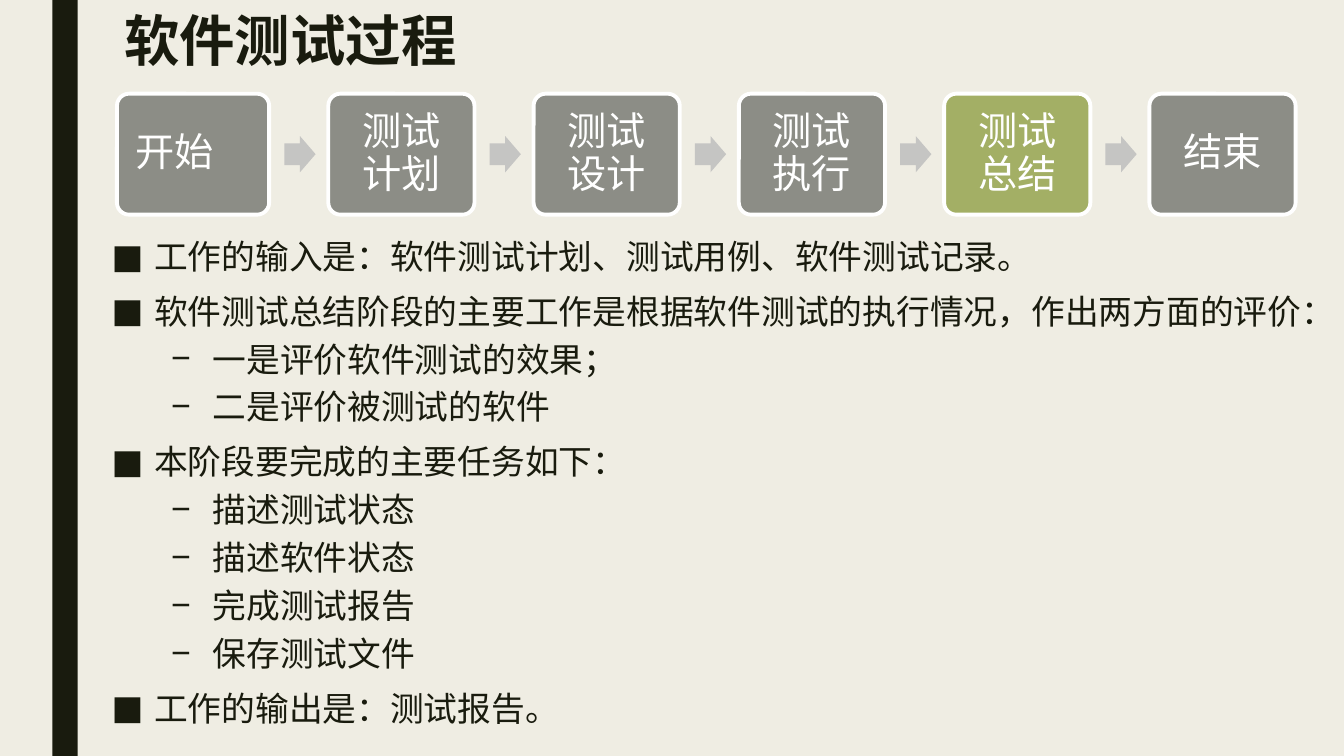
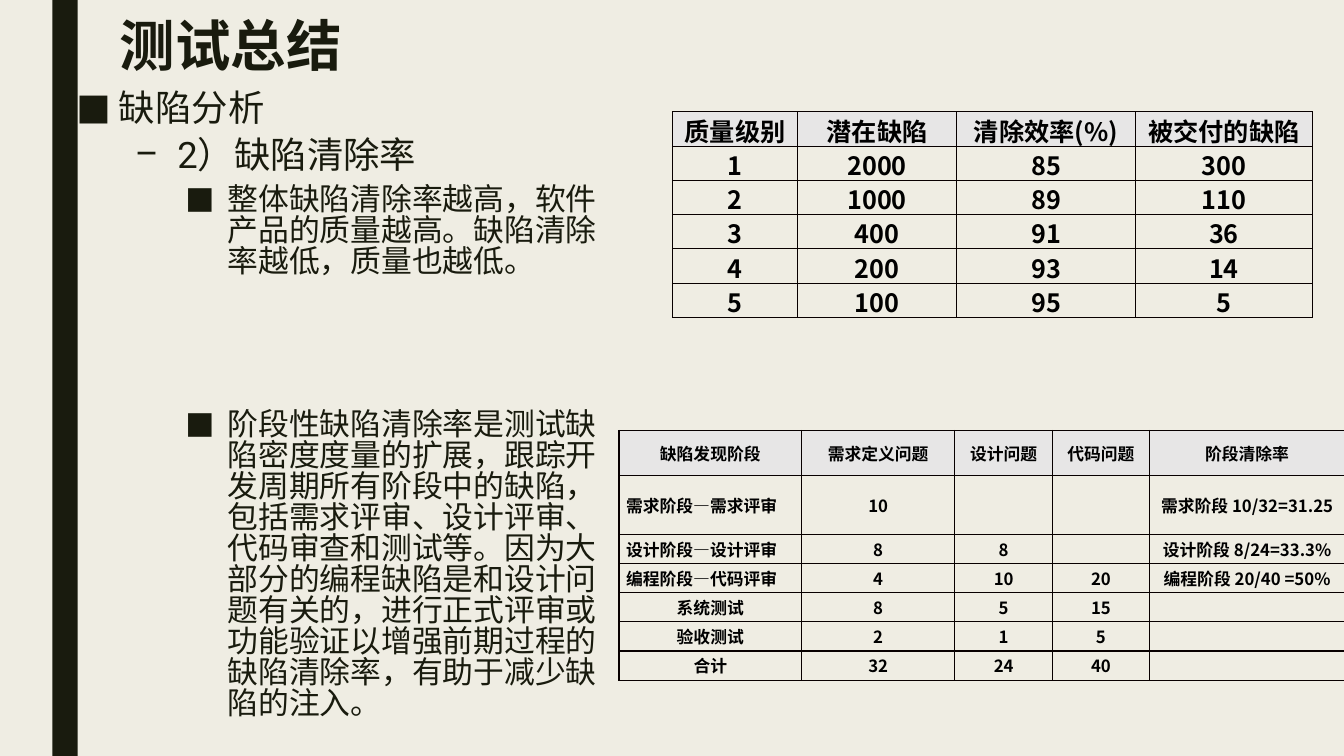
"""Two slides on the software testing process: flow overview and defect removal."""
from dataclasses import dataclass

from lxml import etree
from pptx import Presentation
from pptx.dml.color import RGBColor
from pptx.enum.shapes import MSO_SHAPE
from pptx.enum.text import MSO_ANCHOR, MSO_AUTO_SIZE, PP_ALIGN
from pptx.oxml.ns import qn
from pptx.util import Inches, Pt

RECT, ROUND, ARROW = MSO_SHAPE.RECTANGLE, MSO_SHAPE.ROUNDED_RECTANGLE, MSO_SHAPE.RIGHT_ARROW
LEFT, CENTER = PP_ALIGN.LEFT, PP_ALIGN.CENTER
TOP, MIDDLE = MSO_ANCHOR.TOP, MSO_ANCHOR.MIDDLE


@dataclass(frozen=True)
class Theme:
    """Colours, fonts and type sizes."""
    paper: str = "EFEDE3"
    ink: str = "191B0E"
    step: str = "8C8D86"
    current: str = "A3AF65"
    arrow: str = "C5C5C3"
    white: str = "FFFFFF"
    black: str = "000000"
    header: str = "E7E6E6"
    border: str = "080000"
    font: str = "Roboto"
    table_font: str = "Noto Sans CJK SC"
    title_size: float = 39.6
    step_size: float = 28


T = Theme()
WIDTH, HEIGHT = 13.33, 7.5
BAND = (0.52, 0, 0.25, HEIGHT)
TITLE_SIZE = (10.5, 0.62)
BULLETS = [("■", 0.42, 10), ("–", 1, 5), ("■", 1.5, 5)]
HANG = 0.42

STEPS = ["开始", "测试计划", "测试设计", "测试执行", "测试总结", "结束"]
CURRENT_STEP = "测试总结"
FLOW = dict(left=1.16, right=12.85, top=0.93, height=1.2, first=1.51, width=1.45)

PROCESS = dict(
    title="软件测试过程", title_at=(1.13, 0.12),
    body_at=(1.01, 2.32, 12.03, 5.18), spacing=0.94, sizes=(24.1, 24.1),
    body=[
        (0, "工作的输入是：软件测试计划、测试用例、软件测试记录。"),
        (0, "软件测试总结阶段的主要工作是根据软件测试的执行情况，作出两方面的评价："),
        (1, "一是评价软件测试的效果；"),
        (1, "二是评价被测试的软件"),
        (0, "本阶段要完成的主要任务如下："),
        (1, "描述测试状态"),
        (1, "描述软件状态"),
        (1, "完成测试报告"),
        (1, "保存测试文件"),
        (0, "工作的输出是：测试报告。"),
    ])

SUMMARY = dict(
    title="测试总结", title_at=(1.09, 0.17),
    body_at=(0.66, 0.87, 5.39, 6.46), spacing=0.84, sizes=(26, 26, 22),
    body=[
        (0, "缺陷分析"),
        (1, "2）缺陷清除率"),
        (2, "整体缺陷清除率越高，软件产品的质量越高。缺陷清除率越低，质量也越低。"),
        (2, "阶段性缺陷清除率是测试缺陷密度度量的扩展，跟踪开发周期所有阶段中的缺陷，"
            "包括需求评审、设计评审、代码审查和测试等。因为大部分的编程缺陷是和设计问题有关的，"
            "进行正式评审或功能验证以增强前期过程的缺陷清除率，有助于减少缺陷的注入。", 92),
    ])

QUALITY = dict(
    at=(6.67, 1.11), cols=[1.24, 1.58, 1.77, 1.76], heights=[0.34] * 6, size=18,
    rows=[
        ["质量级别", "潜在缺陷", "清除效率(%)", "被交付的缺陷"],
        ["1", "2000", "85", "300"],
        ["2", "1000", "89", "110"],
        ["3", "400", "91", "36"],
        ["4", "200", "93", "14"],
        ["5", "100", "95", "5"],
    ])

STAGES = dict(
    at=(6.14, 4.27), cols=[1.81, 1.52, 0.97, 0.96, 1.94],
    heights=[0.45, 0.58] + [0.29] * 5, size=12,
    rows=[
        ["缺陷发现阶段", "需求定义问题", "设计问题", "代码问题", "阶段清除率"],
        ["需求阶段—需求评审", "10", "", "", "需求阶段 10/32=31.25"],
        ["设计阶段—设计评审", "8", "8", "", "设计阶段 8/24=33.3%"],
        ["编程阶段—代码评审", "4", "10", "20", "编程阶段 20/40 =50%"],
        ["系统测试", "8", "5", "15", ""],
        ["验收测试", "2", "1", "5", ""],
        ["合计", "32", "24", "40", ""],
    ])


def rgb(color):
    return RGBColor.from_string(color)


def style(p, size, color, font=T.font, bold=False):
    for r in p.runs:
        r.font.size, r.font.bold, r.font.name = Pt(size), bold, font
        r.font.color.rgb = rgb(color)
        etree.SubElement(r.font._element, qn("a:ea")).set("typeface", font)


def add_shape(s, kind, box, fill):
    sp = s.shapes.add_shape(kind, *map(Inches, box))
    sp.shadow.inherit = False
    sp.fill.solid()
    sp.fill.fore_color.rgb = rgb(fill)
    sp.line.fill.background()
    return sp


def add_master_band(prs, s):
    band = add_shape(s, RECT, BAND, T.ink)
    band.element.nvSpPr.cNvPr.set("id", "20")
    prs.slide_master.shapes.element.insert(2, band.element)


def add_bullet(p, level):
    char, indent, before = BULLETS[level]
    p.level, p.space_before, p.space_after = level, Pt(before), Pt(2)
    pPr = p._p.get_or_add_pPr()
    pPr.set("marL", str(Inches(indent)))
    pPr.set("indent", str(-Inches(HANG)))
    etree.SubElement(pPr, qn("a:buFont")).set("typeface", T.font)
    etree.SubElement(pPr, qn("a:buChar")).set("char", char)


def add_slide(prs, content):
    s = prs.slides.add_slide(prs.slide_layouts[5])
    title = s.shapes.title
    title.left, title.top, title.width, title.height = map(Inches, content["title_at"] + TITLE_SIZE)
    tf = title.text_frame
    tf.text, tf.vertical_anchor, tf.auto_size = content["title"], MIDDLE, MSO_AUTO_SIZE.NONE
    p = tf.paragraphs[0]
    p.alignment, p.line_spacing = LEFT, 0.89
    style(p, T.title_size, T.ink, bold=True)

    tf = s.shapes.add_textbox(*map(Inches, content["body_at"])).text_frame
    tf.word_wrap, tf.vertical_anchor = True, TOP
    tf.text = "\n".join(item[1] for item in content["body"])
    for p, (level, _, *before) in zip(tf.paragraphs, content["body"]):
        p.line_spacing = content["spacing"]
        add_bullet(p, level)
        if before:
            p.space_before = Pt(before[0])
        style(p, content["sizes"][level], T.ink)
    return s


def add_flow(s):
    top, height, width = FLOW["top"], FLOW["height"], FLOW["width"]
    widths = [FLOW["first"]] + [width] * (len(STEPS) - 1)
    gap = (FLOW["right"] - FLOW["left"] - sum(widths)) / (len(STEPS) - 1)
    x = FLOW["left"]
    for i, (step, w) in enumerate(zip(STEPS, widths)):
        if i:
            sp = add_shape(s, ARROW, (x - gap + 0.15, top + height / 2 - 0.18, 0.31, 0.36), T.arrow)
            sp.adjustments[0], sp.adjustments[1] = 0.6, 0.5
        sp = add_shape(s, ROUND, (x, top, w, height), T.current if step == CURRENT_STEP else T.step)
        sp.adjustments[0] = 0.1
        sp.line.color.rgb, sp.line.width = rgb(T.white), Pt(2.75)
        tf = sp.text_frame
        tf.text, tf.word_wrap, tf.vertical_anchor = step, True, MIDDLE
        tf.margin_left = tf.margin_right = tf.margin_top = tf.margin_bottom = Inches(0.15)
        p = tf.paragraphs[0]
        p.alignment, p.line_spacing = CENTER if i else LEFT, 0.9
        style(p, T.step_size, T.white)
        x += w + gap


def add_borders(cell):
    tcPr = cell._tc.get_or_add_tcPr()
    for side in ("lnL", "lnR", "lnT", "lnB"):
        ln = etree.SubElement(tcPr, qn(f"a:{side}"), w=str(Pt(1)))
        fill = etree.SubElement(ln, qn("a:solidFill"))
        etree.SubElement(fill, qn("a:srgbClr"), val=T.border)


def add_grid(s, grid):
    rows, cols, heights = grid["rows"], grid["cols"], grid["heights"]
    box = (*grid["at"], sum(cols), sum(heights))
    table = s.shapes.add_table(len(rows), len(cols), *map(Inches, box)).table
    table.first_row = table.horz_banding = False
    for col, w in zip(table.columns, cols):
        col.width = Inches(w)
    for row, h in zip(table.rows, heights):
        row.height = Inches(h)
    for i, texts in enumerate(rows):
        for j, text in enumerate(texts):
            cell = table.cell(i, j)
            cell.text, cell.vertical_anchor = text, MIDDLE
            cell.margin_left = cell.margin_right = Inches(0.07)
            cell.margin_top = cell.margin_bottom = 0
            add_borders(cell)
            if i:
                cell.fill.background()
            else:
                cell.fill.solid()
                cell.fill.fore_color.rgb = rgb(T.header)
            p = cell.text_frame.paragraphs[0]
            p.alignment = LEFT if "—" in text else CENTER
            style(p, grid["size"], T.black, T.table_font, True)
            if not text:
                etree.SubElement(p._p, qn("a:endParaRPr"), sz=str(grid["size"] * 100))


def main():
    prs = Presentation()
    prs.slide_width, prs.slide_height = Inches(WIDTH), Inches(HEIGHT)
    fill = prs.slide_master.background.fill
    fill.solid()
    fill.fore_color.rgb = rgb(T.paper)
    s = add_slide(prs, PROCESS)
    add_master_band(prs, s)
    add_flow(s)
    s = add_slide(prs, SUMMARY)
    add_grid(s, QUALITY)
    add_grid(s, STAGES)
    prs.save("out.pptx")


if __name__ == "__main__":
    main()
